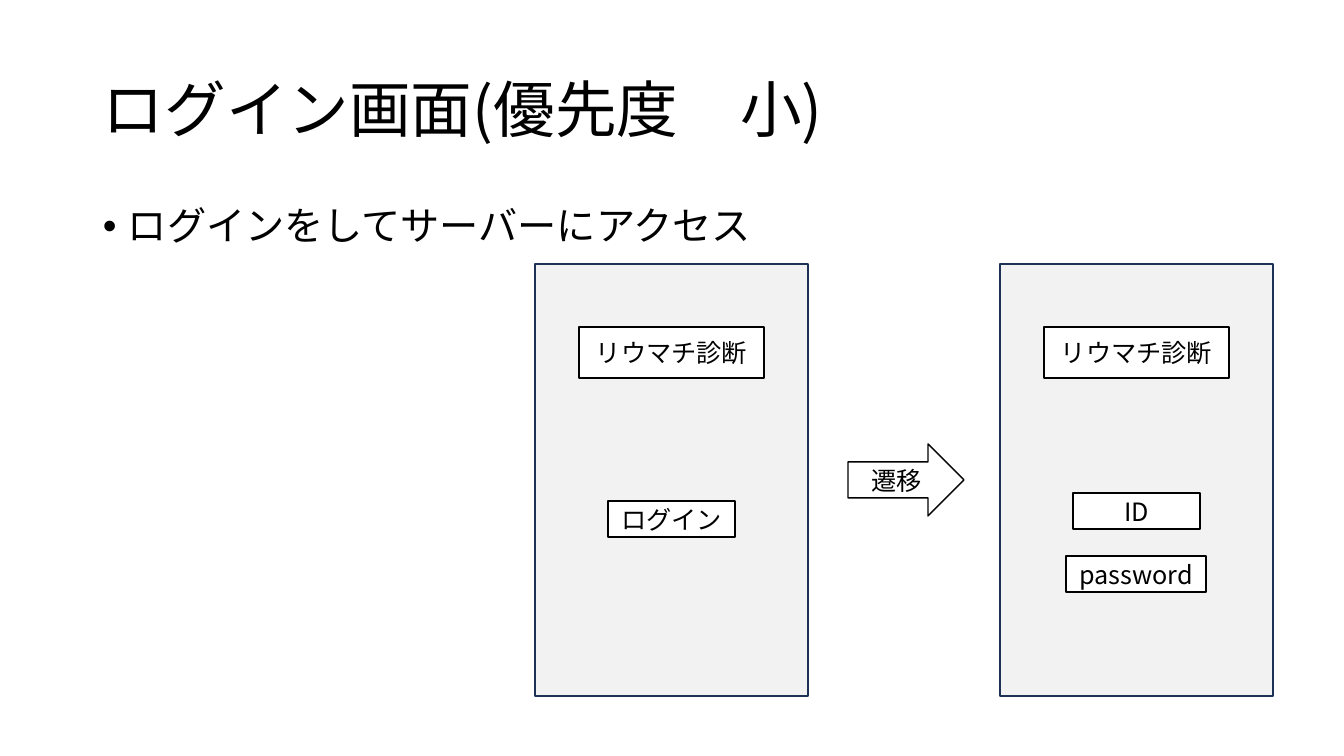
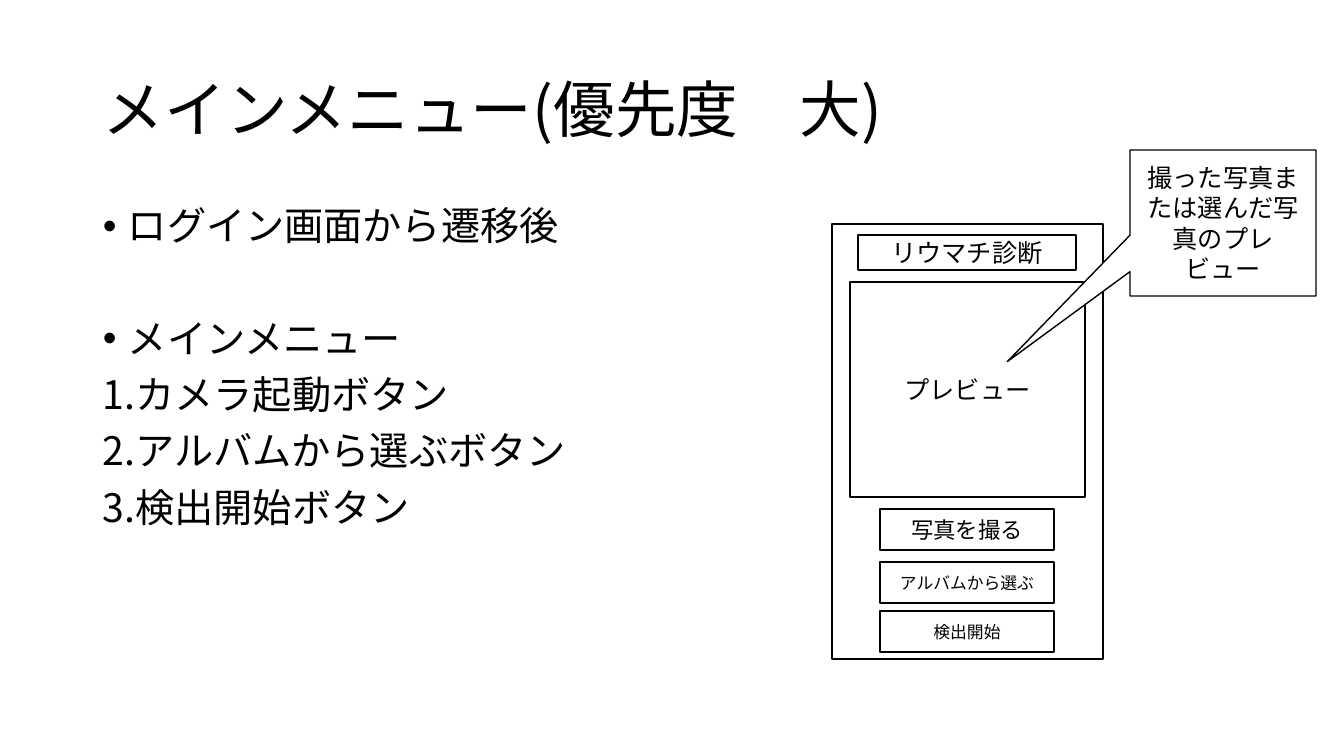
from lxml.etree import SubElement
from pptx import Presentation
from pptx.dml.color import RGBColor
from pptx.enum.shapes import MSO_SHAPE
from pptx.enum.text import MSO_ANCHOR, PP_ALIGN
from pptx.oxml.ns import qn
from pptx.util import Pt

SCALE = 914400 / 100.8
FONT = "Noto Sans CJK JP"
COLORS = {"ink": "000000", "paper": "FFFFFF", "screen": "F2F2F2", "navy": "1E3256"}
APP_NAME = "リウマチ診断"


def px(pixels):
    """Turn pixels into EMU."""
    return round(pixels * SCALE)


def color(name):
    """Look up a named colour."""
    return RGBColor.from_string(COLORS[name])


def write(paragraph, text, size=18, align=None, line_spacing=None, space_before=None):
    """Put formatted text into a paragraph."""
    paragraph.alignment = align
    paragraph.line_spacing = line_spacing
    if space_before is not None:
        paragraph.space_before = Pt(space_before)
    run = paragraph.add_run()
    run.text = text
    run.font.size = Pt(size)
    run.font.name = FONT
    run.font.color.rgb = color("ink")
    properties = run.font._element
    properties.set("lang", "ja-JP")
    SubElement(properties, qn("a:ea")).set("typeface", FONT)


def add_bullet(paragraph):
    """Give a paragraph a hanging bullet."""
    properties = paragraph._p.get_or_add_pPr()
    properties.set("marL", str(px(25)))
    properties.set("indent", str(px(-25)))
    SubElement(properties, qn("a:buFont")).set("typeface", "Arial")
    SubElement(properties, qn("a:buChar")).set("char", "•")


class Deck:
    """Hold the presentation, its style and the current slide."""

    def __init__(self):
        """Start a widescreen presentation."""
        self.presentation = Presentation()
        self.presentation.slide_width = px(1344)
        self.presentation.slide_height = px(756)
        self.slide = None

    def text_box(self, top, height, anchor):
        """Add a wrapping text box across the content width."""
        box = self.slide.shapes.add_textbox(px(93), px(top), px(1159), px(height))
        frame = box.text_frame
        frame.word_wrap = True
        frame.vertical_anchor = anchor
        return frame

    def new_slide(self, title):
        """Add a blank slide with a title."""
        self.slide = self.presentation.slides.add_slide(self.presentation.slide_layouts[6])
        frame = self.text_box(40, 146, MSO_ANCHOR.MIDDLE)
        write(frame.paragraphs[0], title, size=44, line_spacing=0.9)

    def body(self, items):
        """Add body lines given as (text, bulleted, space before)."""
        frame = self.text_box(202, 480, MSO_ANCHOR.TOP)
        for index, (text, bulleted, space) in enumerate(items):
            paragraph = frame.add_paragraph() if index else frame.paragraphs[0]
            write(paragraph, text, size=28, line_spacing=0.9, space_before=space)
            if bulleted:
                add_bullet(paragraph)

    def shape(self, left, top, width, height, text="", size=18,
              kind=MSO_SHAPE.RECTANGLE, fill="paper", line="ink"):
        """Add an outlined shape with centred text."""
        shape = self.slide.shapes.add_shape(kind, px(left), px(top), px(width), px(height))
        shape.shadow.inherit = False
        shape.fill.solid()
        shape.fill.fore_color.rgb = color(fill)
        shape.line.color.rgb = color(line)
        shape.line.width = Pt(1)
        if text:
            shape.text_frame.word_wrap = True
            shape.text_frame.vertical_anchor = MSO_ANCHOR.MIDDLE
            write(shape.text_frame.paragraphs[0], text, size=size, align=PP_ALIGN.CENTER)
        return shape

    def screen(self, left, top, width, height, parts, **style):
        """Add an app screen with parts (text, top, width, height, size) centred in it."""
        self.shape(left, top, width, height, **style)
        for text, part_top, part_width, part_height, size in parts:
            part_left = left + (width - part_width) // 2
            self.shape(part_left, part_top, part_width, part_height, text, size)


deck = Deck()

deck.new_slide("ログイン画面(優先度　小)")
deck.body([("ログインをしてサーバーにアクセス", True, 10)])
login_screens = [
    (535, [("ログイン", 501, 127, 36, 18)]),
    (1000, [("ID", 493, 127, 36, 18), ("password", 556, 140, 36, 18)]),
]
for screen_left, fields in login_screens:
    deck.screen(screen_left, 264, 273, 432, [(APP_NAME, 327, 185, 51, 18)] + fields,
                fill="screen", line="navy")
deck.shape(848, 444, 116, 72, "遷移", kind=MSO_SHAPE.RIGHT_ARROW)

deck.new_slide("メインメニュー(優先度　大)")
deck.body([
    ("ログイン画面から遷移後", True, 10),
    ("メインメニュー", True, 50),
    ("1.カメラ起動ボタン", False, 10),
    ("2.アルバムから選ぶボタン", False, 10),
    ("3.検出開始ボタン", False, 10),
])
deck.screen(832, 224, 271, 435, [
    (APP_NAME, 235, 218, 35, 18),
    ("プレビュー", 282, 235, 215, 18),
    ("写真を撮る", 509, 174, 41, 16),
    ("アルバムから選ぶ", 562, 174, 41, 12),
    ("検出開始", 611, 174, 41, 12),
])
callout = deck.shape(1130, 150, 186, 146, "撮った写真または選んだ写真のプレビュー",
                     kind=MSO_SHAPE.RECTANGULAR_CALLOUT)
callout.adjustments[0] = -1.16
callout.adjustments[1] = 0.95

deck.presentation.save("out.pptx")
